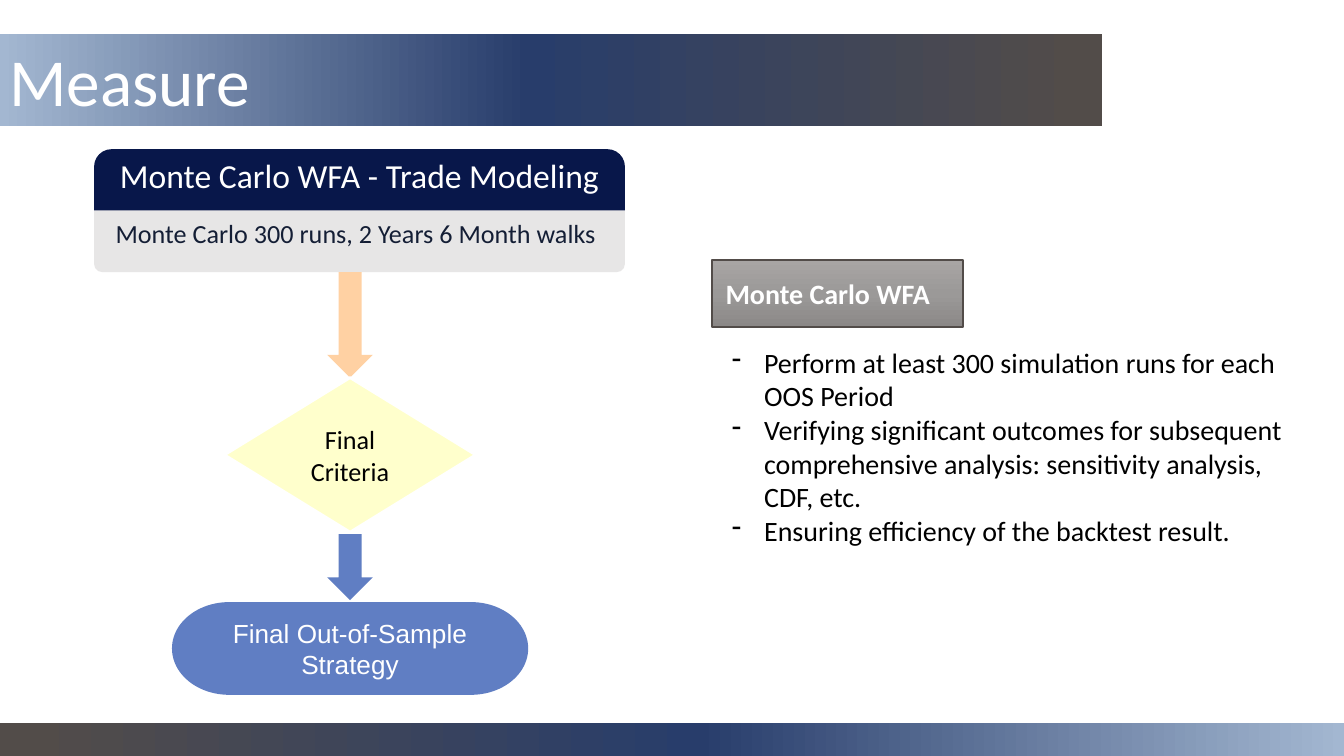
from dataclasses import dataclass
from lxml.etree import SubElement
from pptx import Presentation
from pptx.dml.color import RGBColor
from pptx.enum.shapes import MSO_SHAPE as Kind
from pptx.enum.text import MSO_ANCHOR as Anchor, MSO_AUTO_SIZE as Fit, PP_ALIGN as Align
from pptx.oxml.ns import qn
from pptx.util import Pt

PX = 4572  # EMU in one px, 200 px to the inch


@dataclass(frozen=True)
class Theme:
    face: str = "Calibri"
    plain: str = "Arial"
    white: str = "FFFFFF"
    black: str = "000000"
    navy: str = "08174A"
    ink: str = "141E35"
    pale: str = "E7E6E6"
    peach: str = "FFD1A3"
    blue: str = "607EC3"
    cream: str = "FFFFCC"
    brown: str = "524C49"
    band: tuple = ((0, "A3B7D1"), (48, "283D6B"), (98, "524C49"), (100, "524C49"))
    steel: tuple = ((0, "A8A5A4"), (50, "9B9998"), (100, "8B8887"))
    title: int = 36
    head: int = 18
    body: int = 15
    small: int = 14


T = Theme()


def place(shape, box):
    """Set left, top, width and height, given in px."""
    for name, val in zip(("left", "top", "width", "height"), box):
        setattr(shape, name, val * PX)


def paint(shape, fill, angle=0):
    """Fill with one colour, or with a gradient of (percent, colour) stops."""
    if isinstance(fill, str):
        shape.fill.solid()
        shape.fill.fore_color.rgb = RGBColor.from_string(fill)
        return
    shape.fill.gradient()
    shape.fill.gradient_angle = angle
    stops = next(shape._element.spPr.iter(qn("a:gsLst")))
    for old in list(stops):
        stops.remove(old)
    for part, hue in fill:
        stop = SubElement(stops, qn("a:gs"), pos=str(part * 1000))
        SubElement(stop, qn("a:srgbClr"), val=hue)


def write(shape, lines, size, hue, face=T.face, bold=False, align=Align.LEFT,
          anchor=Anchor.TOP, inset=(14, 8), fit=Fit.NONE, dash=False):
    """Put one paragraph per line into a shape."""
    frame = shape.text_frame
    side, edge = (val * PX for val in inset)
    look = dict(word_wrap=True, auto_size=fit, vertical_anchor=anchor,
                margin_left=side, margin_right=side,
                margin_top=edge, margin_bottom=edge)
    for name, val in look.items():
        setattr(frame, name, val)
    frame.text = "\n".join(lines)
    for para in frame.paragraphs:
        if dash:
            add_dash(para)
        para.alignment = align
        for name, val in dict(name=face, size=Pt(size), bold=bold).items():
            setattr(para.font, name, val)
        para.font.color.rgb = RGBColor.from_string(hue)


def add_dash(para, indent=48):
    """Give a paragraph a hanging dash."""
    props = para._p.get_or_add_pPr()
    props.set("marL", str(indent * PX))
    props.set("indent", str(-indent * PX))
    SubElement(SubElement(props, qn("a:buClr")), qn("a:srgbClr"), val=T.black)
    SubElement(props, qn("a:buChar"), char="-")


def add_block(slide, kind, box, fill, angle=0, line=None):
    """Add a preset shape; line is a colour and a width in points."""
    shape = slide.shapes.add_shape(kind, 0, 0, 0, 0)
    place(shape, box)
    shape.shadow.inherit = False
    paint(shape, fill, angle)
    if line:
        shape.line.color.rgb = RGBColor.from_string(line[0])
        shape.line.width = Pt(line[1])
    else:
        shape.line.fill.background()
    return shape


def add_text(slide, box, lines, size, hue, **style):
    """Add a text box."""
    text = slide.shapes.add_textbox(0, 0, 0, 0)
    place(text, box)
    write(text, lines, size, hue, fit=Fit.SHAPE_TO_FIT_TEXT, **style)


def add_bands(slide):
    """Title band, and the same gradient mirrored in the footer."""
    title = slide.shapes.title
    place(title, (0, 50, 1640, 138))
    paint(title, T.band)
    write(title, ["Measure"], T.title, T.white, anchor=Anchor.MIDDLE)
    mirror = [(100 - part, hue) for part, hue in reversed(T.band)]
    add_block(slide, Kind.RECTANGLE, (0, 1076, 2000, 49), mirror)


def add_card(slide):
    """Two-tone card that starts the flow."""
    left, width = 140, 790
    add_block(slide, Kind.ROUNDED_RECTANGLE, (left, 222, width, 156), T.navy)
    add_text(slide, (130, 222, 810, 76), ["Monte Carlo WFA - Trade Modeling"],
             T.head, T.white, align=Align.CENTER)
    add_block(slide, Kind.ROUNDED_RECTANGLE, (left, 330, width, 75), T.pale)
    add_block(slide, Kind.RECTANGLE, (left, 313, width, 50), T.pale)
    add_text(slide, (158, 316, 752, 62),
             ["Monte Carlo 300 runs, 2 Years 6 Month walks"], T.small, T.ink)


def add_flow(slide):
    """Arrows, decision and end point, all on one axis."""
    axis = 521

    def step(kind, top, width, height, fill, line=None):
        box = (axis - width // 2, top, width, height)
        return add_block(slide, kind, box, fill, line=line)

    step(Kind.DOWN_ARROW, 405, 68, 157, T.peach)
    step(Kind.DOWN_ARROW, 795, 68, 98, T.blue)
    choice = step(Kind.DIAMOND, 562, 374, 230, T.cream, (T.white, 1.5))
    end = step(Kind.FLOWCHART_TERMINATOR, 896, 530, 138, T.blue)
    mid = dict(align=Align.CENTER, anchor=Anchor.MIDDLE)
    write(choice, ["Final Criteria"], T.small, T.black, **mid)
    write(end, ["Final Out-of-Sample Strategy"], T.small, T.white,
          face=T.plain, inset=(20, 20), **mid)


def add_notes(slide):
    """Label and dashed list on the right."""
    label = add_block(slide, Kind.RECTANGLE, (1060, 387, 373, 100), T.steel,
                      angle=270, line=(T.brown, 1))
    write(label, ["Monte Carlo WFA"], T.body, T.white, bold=True,
          anchor=Anchor.MIDDLE, inset=(20, 20))
    add_text(slide, (1075, 506, 870, 318), [
        "Perform at least 300 simulation runs for each OOS Period",
        "Verifying significant outcomes for subsequent comprehensive analysis: "
        "sensitivity analysis, CDF, etc.",
        "Ensuring efficiency of the backtest result.",
    ], T.body, T.black, dash=True)


def main():
    deck = Presentation()
    deck.slide_width, deck.slide_height = 2000 * PX, 1125 * PX
    slide = deck.slides.add_slide(deck.slide_layouts[5])
    add_bands(slide)
    add_card(slide)
    add_flow(slide)
    add_notes(slide)
    deck.save("out.pptx")


if __name__ == "__main__":
    main()
